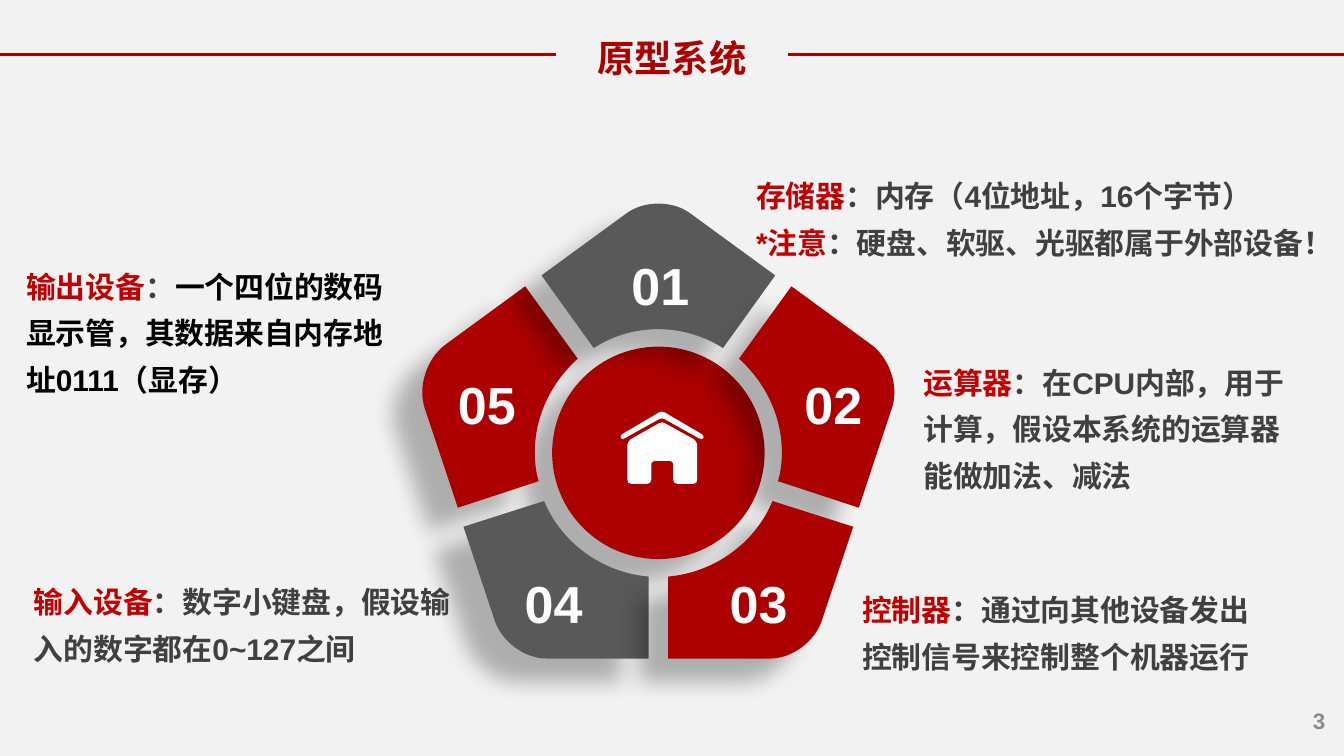
from dataclasses import dataclass

from lxml import etree
from pptx import Presentation
from pptx import util as u
from pptx.dml.color import RGBColor
from pptx.enum import shapes, text
from pptx.oxml import ns


@dataclass(frozen=True)
class Theme:
    """Colours, fonts and type sizes of the slide."""
    background: str = "F2F2F2"
    red: str = "AC0000"
    grey: str = "595959"
    white: str = "FFFFFF"
    term: str = "C00000"
    body: str = "404040"
    black: str = "000000"
    page: str = "8C8C8C"
    latin: str = "Arial"
    chinese: str = "Noto Sans CJK SC"
    title_size: float = 20
    number_size: float = 27.9
    note_size: float = 16
    page_size: float = 12


THEME = Theme()
AXIS, HOUSE_AXIS = 352.7, 354.8
HUB_Y, HUB_RADIUS = 242.6, 56.9

TOP = [(34.6, 186.5), (62.6, 147.6), (17.3, 114.5),
       (7.9, 107.3, -7.9, 107.3, -17.3, 114.5), (-62.6, 147.6), (-34.6, 186.5),
       (-24.5, 180, -13, 176.4, 0, 176.4), (12.2, 176.4, 24.5, 180, 34.6, 186.5)]
UPPER_SIDE = [(114.5, 185), (71.3, 153.4), (43.2, 192.2),
              (56.9, 204.5, 66.2, 222.5, 66.2, 242.6),
              (66.2, 247.7, 65.5, 253.4, 64.1, 257.8), (107.4, 272),
              (125.3, 218.2), (128.9, 206.6, 123.8, 192.2, 114.5, 185)]
LOWER_SIDE = [(5.2, 308.9), (5.2, 352.8), (59.8, 352.8),
              (72, 352.8, 84.2, 343.4, 87.8, 331.9), (104.4, 282.2),
              (61.2, 268.4), (51.8, 290.9, 30.2, 306.7, 5.2, 308.9)]
HOUSE = [(1.4, 226.8), (0.7, 226.1, -0.7, 226.1, -1.8, 226.8), (-17, 235.4),
         (-18, 236.2, -18.7, 237.6, -18.7, 238.3), (-18.7, 257),
         (-18.7, 258.5, -18, 259.2, -16.6, 259.2), (-8, 259.2),
         (-7.2, 259.2, -5.8, 258.5, -5.8, 257), (-5.8, 248.4),
         (-5.8, 247.7, -5, 247, -4, 247), (4, 247),
         (5, 247, 5.8, 247.7, 5.8, 248.4), (5.8, 257),
         (5.8, 258.5, 7.2, 259.2, 8, 259.2), (16.6, 259.2),
         (18, 259.2, 18.7, 258.5, 18.7, 257), (18.7, 238.3),
         (18.7, 237.6, 18, 236.2, 17, 235.4)]
ROOF = [(22, 234.7), (22, 235.4, 20.2, 235.4, 19.4, 234.7), (1.4, 224.6),
        (0.7, 223.9, -1, 223.9, -1.8, 224.6), (-20, 234.7),
        (-20.7, 235.4, -22.2, 235.4, -22.2, 234.7),
        (-22.6, 234, -22.2, 233.3, -21.5, 232.6), (-1.8, 221),
        (-1, 220.3, 0.7, 220.3, 1.4, 221), (21.2, 232.6),
        (21.8, 233.3, 22.5, 234, 22, 234.7)]


def mirror(outline):
    """Reflect corners and curves across the axis."""
    return [tuple(-value if index % 2 == 0 else value
                  for index, value in enumerate(part)) for part in outline]


def paint(shape, colour):
    """Give a shape a plain fill without line or shadow."""
    shape.fill.solid()
    shape.fill.fore_color.rgb = RGBColor.from_string(colour)
    shape.line.fill.background()
    shape.shadow.inherit = False


def cast_shadow(shape):
    """Add a soft shadow towards the lower left."""
    effects = shape._element.spPr.find(ns.qn("a:effectLst"))
    shadow = etree.SubElement(effects, ns.qn("a:outerShdw"), blurRad=str(u.Pt(11.8)),
                              dist=str(u.Pt(19.7)), dir=str(141 * 60000))
    colour = etree.SubElement(shadow, ns.qn("a:srgbClr"), val=THEME.black)
    etree.SubElement(colour, ns.qn("a:alpha"), val="28000")


def add_outline(parent, outline, axis, colour):
    """Draw a filled outline of corners (pairs) and Bezier curves (sixes)."""
    points = [(u.Pt(axis + x), u.Pt(y)) for part in outline
              for x, y in zip(part[::2], part[1::2])]
    builder = parent.build_freeform(*points[0], scale=1.0)
    builder.add_line_segments(points[1:], close=False)
    shape = builder.convert_to_shape()
    route = next(shape._element.iter(ns.qn("a:moveTo"))).getparent()
    steps = iter(route.findall(ns.qn("a:lnTo")))
    for part in outline[1:]:
        step = next(steps)
        if len(part) == 6:
            curve = etree.Element(ns.qn("a:cubicBezTo"))
            step.addprevious(curve)
            for control in (step, next(steps), next(steps)):
                curve.append(control[0])
                route.remove(control)
    etree.SubElement(route, ns.qn("a:close"))
    paint(shape, colour)
    return shape


def style_run(run, size, colour):
    """Set the type of a run."""
    run.font.size = u.Pt(size)
    run.font.bold = True
    run.font.name = THEME.latin
    run.font.color.rgb = RGBColor.from_string(colour)
    etree.SubElement(run.font._element, ns.qn("a:ea"), typeface=THEME.chinese)


def add_title(slide, wording):
    """Fill the title placeholder and draw a rule on either side."""
    title = slide.shapes.title
    title.left, title.top, title.width, title.height = map(u.Pt, (297.5, 15.1, 125, 31.5))
    frame = title.text_frame
    frame.text = wording
    frame.vertical_anchor = text.MSO_ANCHOR.TOP
    frame.auto_size = text.MSO_AUTO_SIZE.SHAPE_TO_FIT_TEXT
    frame.paragraphs[0].alignment = text.PP_ALIGN.CENTER
    run = frame.paragraphs[0].runs[0]
    style_run(run, THEME.title_size, THEME.red)
    run.font.name = THEME.chinese
    for start, end in ((0, 297.7), (422.3, 720)):
        rule = slide.shapes.add_connector(shapes.MSO_CONNECTOR.STRAIGHT,
                                          u.Pt(start), u.Pt(29.2), u.Pt(end), u.Pt(29.2))
        rule.line.color.rgb = RGBColor.from_string(THEME.red)
        rule.line.width = u.Pt(2)
        etree.SubElement(rule._element.spPr, ns.qn("a:effectLst"))


def add_number(slide, number, left, top):
    """Label a pentagon segment."""
    frame = slide.shapes.add_textbox(*map(u.Pt, (left, top, 46, 51))).text_frame
    frame.text = number
    frame.word_wrap = False
    frame.auto_size = text.MSO_AUTO_SIZE.SHAPE_TO_FIT_TEXT
    frame.paragraphs[0].line_spacing = 1.3
    style_run(frame.paragraphs[0].runs[0], THEME.number_size, THEME.white)


def add_note(slide, box, *lines):
    """Write a note whose lines are lists of wording and colour."""
    frame = slide.shapes.add_textbox(*map(u.Pt, box)).text_frame
    frame.word_wrap = True
    frame.auto_size = text.MSO_AUTO_SIZE.SHAPE_TO_FIT_TEXT
    frame.margin_left = frame.margin_right = u.Pt(5.1)
    frame.margin_top = frame.margin_bottom = u.Pt(2.6)
    for index, line in enumerate(lines):
        paragraph = frame.add_paragraph() if index else frame.paragraphs[0]
        paragraph.line_spacing = 1.3
        for wording, colour in line:
            run = paragraph.add_run()
            run.text = wording
            style_run(run, THEME.note_size, colour)


def add_page_number(slide, number):
    """Write the page number at the lower right."""
    frame = slide.shapes.add_textbox(*map(u.Pt, (555, 375.1, 162, 21.6))).text_frame
    frame.text = number
    frame.word_wrap = True
    frame.vertical_anchor = text.MSO_ANCHOR.MIDDLE
    frame.paragraphs[0].alignment = text.PP_ALIGN.RIGHT
    style_run(frame.paragraphs[0].runs[0], THEME.page_size, THEME.page)


def add_pentagon(slide):
    """Draw the hub, the five segments, their numbers and the house."""
    diameter = 2 * HUB_RADIUS
    hub = slide.shapes.add_shape(
        shapes.MSO_SHAPE.OVAL, u.Pt(AXIS - HUB_RADIUS), u.Pt(HUB_Y - HUB_RADIUS),
        u.Pt(diameter), u.Pt(diameter))
    paint(hub, THEME.red)
    cast_shadow(hub)
    for outline, colour in ((mirror(UPPER_SIDE), THEME.red), (TOP, THEME.grey),
                            (UPPER_SIDE, THEME.red), (mirror(LOWER_SIDE), THEME.grey),
                            (LOWER_SIDE, THEME.red)):
        cast_shadow(add_outline(slide.shapes, outline, AXIS, colour))
    for number, left, top in (("01", 331.2, 122), ("04", 274, 292.7), ("05", 238.2, 186.2),
                              ("02", 423.9, 186.2), ("03", 383.8, 292.7)):
        add_number(slide, number, left, top)
    house = slide.shapes.add_group_shape()
    for outline in (HOUSE, ROOF):
        add_outline(house.shapes, outline, HOUSE_AXIS, THEME.white)


def main():
    """Build the slide and save it."""
    deck = Presentation()
    deck.slide_width, deck.slide_height = u.Pt(720), u.Pt(405)
    slide = deck.slides.add_slide(deck.slide_layouts[5])
    slide.background.fill.solid()
    slide.background.fill.fore_color.rgb = RGBColor.from_string(THEME.background)
    add_pentagon(slide)
    add_title(slide, "原型系统")
    term, body = THEME.term, THEME.body
    add_note(slide, (399.9, 87.1, 334.8, 55.4),
             [("存储器", term), ("：内存（4位地址，16个字节）", body)],
             [("*注意", term), ("：硬盘、软驱、光驱都属于外部设备！", body)])
    add_note(slide, (489.6, 186.8, 211, 78.5),
             [("运算器", term), ("：在CPU内部，用于计算，假设本系统的运算器能做加法、减法", body)])
    add_note(slide, (456.8, 308.9, 226.8, 53.3),
             [("控制器", term), ("：通过向其他设备发出控制信号来控制整个机器运行", body)])
    add_note(slide, (13, 304.6, 239.8, 53.3),
             [("输入设备", term), ("：数字小键盘，假设输入的数字都在0~127之间", body)])
    add_note(slide, (8.9, 135.4, 217.4, 80.6),
             [("输出设备", term), ("：", body),
              ("一个四位的数码显示管，其数据来自内存地址0111（显存）", THEME.black)])
    add_page_number(slide, "3")
    deck.save("out.pptx")


if __name__ == "__main__":
    main()
